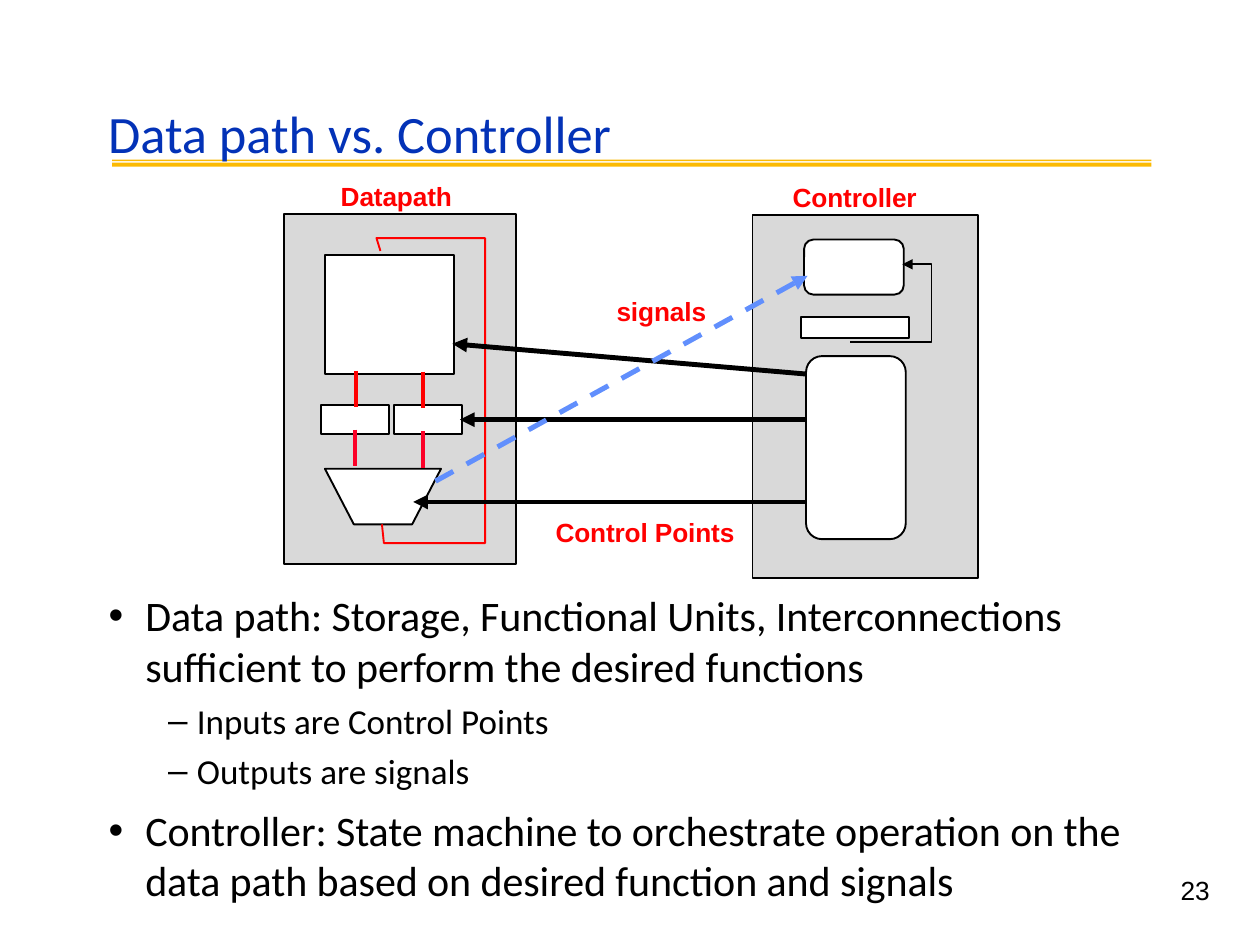
from lxml import etree
from pptx import Presentation
from pptx import util as u
from pptx.dml.color import RGBColor
from pptx.enum import dml, shapes, text
from pptx.oxml import ns

COLORS = {
    "title": "0332B7", "rule": "FBBA03", "panel": "D9D9D9", "white": "FFFFFF",
    "black": "000000", "red": "FF0000", "crimson": "FC0128", "blue": "618FFD",
}
RECTANGLE = shapes.MSO_SHAPE.RECTANGLE
ROUNDED = shapes.MSO_SHAPE.ROUNDED_RECTANGLE
TRAPEZOID = shapes.MSO_SHAPE.TRAPEZOID
OUTLINE = 1.07

# All positions are in centimetres: left, top, width, height
RULES = [(2.26, 3.22, 20.95, 0.03), (2.26, 3.28, 20.95, 0.08)]
PANELS = [(5.72, 4.32, 4.69, 7.06), (15.17, 4.33, 4.54, 7.32)]
# kind, box, corner or slant adjustment, rotation
UNITS = [
    (RECTANGLE, (6.55, 5.15, 2.6, 2.39), None, 0),
    (RECTANGLE, (6.48, 8.16, 1.37, 0.59), None, 0),
    (RECTANGLE, (7.95, 8.16, 1.37, 0.59), None, 0),
    (TRAPEZOID, (6.55, 9.45, 2.34, 1.12), 0.52, 180),
    (RECTANGLE, (16.14, 6.39, 2.19, 0.42), None, 0),
    (ROUNDED, (16.21, 4.83, 2.01, 1.11), 0.17, 0),
    (ROUNDED, (16.25, 7.18, 2.01, 3.69), 0.16, 0),
]
# x, top, colour of each vertical wire
WIRES = [(7.18, 7.47, "red"), (8.53, 7.49, "red"),
         (7.16, 8.66, "crimson"), (8.52, 8.69, "crimson")]
WIRE_LENGTH = 0.74
FEEDBACK = [(7.7, 10.57), (7.74, 10.95), (9.78, 10.95),
            (9.78, 4.8), (7.59, 4.8), (7.67, 5.06)]
STATE_LOOP = [(17.14, 6.9), (18.78, 6.9), (18.78, 5.33), (18.19, 5.33)]
CONTROL_ARROWS = [((16.25, 10.12), (8.33, 10.12)),
                  ((16.25, 8.46), (9.27, 8.46)),
                  ((16.25, 7.54), (9.12, 6.93))]
SIGNAL_ARROW = ((8.78, 9.7), (16.28, 5.56))

LABEL_FORMAT = {"size": u.Pt(15), "name": "Arial", "bold": True}
LABELS = [
    ("Datapath", (6.87, 3.64, 2.7, 0.66)),
    ("Controller", (15.98, 3.65, 3, 0.66)),
    ("signals", (12.43, 5.95, 2.3, 0.66)),
    ("Control Points", (11.2, 10.41, 4.2, 0.66)),
]
TITLE = "Data path vs. Controller"
PAGE_NUMBER = "23"
# level, space before in points, wording
BULLETS = [
    (0, 0, "Data path: Storage, Functional Units, Interconnections "
           "sufficient to perform the desired functions"),
    (1, 4.9, "Inputs are Control Points"),
    (1, 4.5, "Outputs are signals"),
    (0, 7.7, "Controller: State machine to orchestrate operation on the "
             "data path based on desired function and signals"),
]
# bullet, left margin, hanging indent, text size, letter spacing
LEVELS = [("•", 0.79, 0.74, 24, -6), ("–", 1.83, 0.58, 20, 0)]


def rgb(name):
    return RGBColor.from_string(COLORS[name])


def lengths(values):
    return [u.Cm(value) for value in values]


def set_line(line, color, width):
    line.color.rgb = rgb(color)
    line.width = u.Pt(width)


def add_head(shape):
    """Put an arrowhead at the end of a line whose other formats are set."""
    line = shape.element.spPr.find(ns.qn("a:ln"))
    etree.SubElement(line, ns.qn("a:tailEnd"), type="triangle", w="med", len="med")


def add_box(slide, kind, box, fill, outlined=True, adjustment=None, rotation=0):
    shape = slide.shapes.add_shape(kind, *lengths(box))
    shape.shadow.inherit = False
    shape.fill.solid()
    shape.fill.fore_color.rgb = rgb(fill)
    shape.rotation = rotation
    if adjustment is not None:
        shape.adjustments[0] = adjustment
    if outlined:
        set_line(shape.line, "black", OUTLINE)
    else:
        shape.line.fill.background()


def add_straight(slide, start, end, color, width):
    connector = slide.shapes.add_connector(
        shapes.MSO_CONNECTOR.STRAIGHT, *lengths(start + end))
    set_line(connector.line, color, width)
    etree.SubElement(connector.element.spPr, ns.qn("a:effectLst"))
    return connector


def add_bent(slide, points, color, width):
    first, *rest = [lengths(point) for point in points]
    builder = slide.shapes.build_freeform(*first)
    builder.add_line_segments(rest, close=False)
    shape = builder.convert_to_shape()
    shape.shadow.inherit = False
    shape.fill.background()
    set_line(shape.line, color, width)
    return shape


def add_frame(slide, box, top_inset=0):
    frame = slide.shapes.add_textbox(*lengths(box)).text_frame
    frame_format = {"word_wrap": True, "margin_left": 0, "margin_right": 0,
                    "margin_top": u.Cm(top_inset), "margin_bottom": 0}
    for name, value in frame_format.items():
        setattr(frame, name, value)
    return frame


def write(paragraph, wording, color, font_format, spacing=-8):
    """Add one run; spacing is in hundredths of a point."""
    run = paragraph.add_run()
    run.text = wording
    run.font.color.rgb = rgb(color)
    for name, value in font_format.items():
        setattr(run.font, name, value)
    run.font._element.set("spc", str(spacing))


def add_bullets(slide):
    frame = add_frame(slide, (2.14, 11.86, 21.2, 6.45), 0.03)
    for index, (level, space, wording) in enumerate(BULLETS):
        mark, margin, hanging, size, spacing = LEVELS[level]
        paragraph = frame.paragraphs[0] if index == 0 else frame.add_paragraph()
        paragraph.level = level
        paragraph.space_before = u.Pt(space)
        properties = paragraph._p.get_or_add_pPr()
        properties.set("marL", str(u.Cm(margin)))
        properties.set("indent", str(-u.Cm(hanging)))
        etree.SubElement(properties, ns.qn("a:buFont"), typeface="Arial")
        etree.SubElement(properties, ns.qn("a:buChar"), char=mark)
        write(paragraph, wording, "black",
              {"size": u.Pt(size), "name": "Calibri"}, spacing)


def add_diagram(slide):
    for box in PANELS:
        add_box(slide, RECTANGLE, box, "panel")
    for kind, box, adjustment, rotation in UNITS:
        add_box(slide, kind, box, "white", True, adjustment, rotation)
    for x, top, color in WIRES:
        add_straight(slide, (x, top), (x, top + WIRE_LENGTH), color, 2.4)
    add_bent(slide, FEEDBACK, "red", OUTLINE)
    add_head(add_bent(slide, STATE_LOOP, "black", 1))
    for points in CONTROL_ARROWS:
        add_head(add_straight(slide, *points, "black", 2.8))
    signal = add_straight(slide, *SIGNAL_ARROW, "blue", 2.9)
    signal.line.dash_style = dml.MSO_LINE.DASH
    add_head(signal)


def main():
    presentation = Presentation()
    presentation.slide_width, presentation.slide_height = lengths((25.4, 19.05))
    slide = presentation.slides.add_slide(presentation.slide_layouts[6])
    for box in RULES:
        add_box(slide, RECTANGLE, box, "rule", outlined=False)
    title = add_frame(slide, (2.18, 1.68, 19.1, 1.63), 0.36)
    title.vertical_anchor = text.MSO_ANCHOR.MIDDLE
    write(title.paragraphs[0], TITLE, "title",
          {"size": u.Pt(30), "name": "Calibri"}, spacing=0)
    add_diagram(slide)
    for wording, box in LABELS:
        write(add_frame(slide, box).paragraphs[0], wording, "red", LABEL_FORMAT)
    add_bullets(slide)
    page = add_frame(slide, (23.8, 17.63, 0.84, 1.22))
    write(page.paragraphs[0], PAGE_NUMBER, "black",
          {"size": u.Pt(15), "name": "Arial"}, spacing=0)
    presentation.save("out.pptx")


if __name__ == "__main__":
    main()
